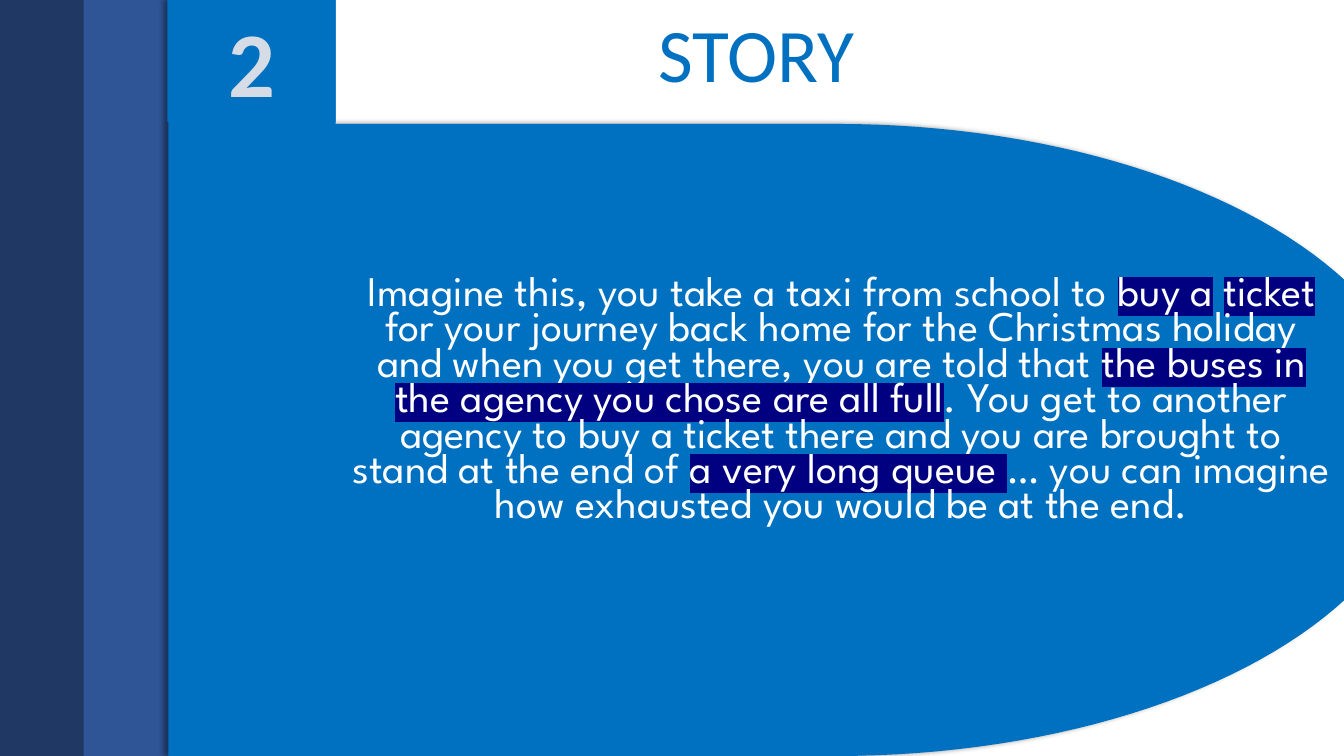
import math
from lxml import etree
from pptx import Presentation
from pptx.dml.color import RGBColor
from pptx.enum import shapes as kinds, text as txt
from pptx.oxml import ns
from pptx.util import Inches, Pt

HUES = {"navy": "203864", "steel": "2F5597", "blue": "0070C0", "pale": "D6DCE5",
        "white": "FFFFFF", "mark": "000080", "black": "000000"}
STORY = [
    ("Imagine this, you take a taxi from school to ", False),
    ("buy a", True),
    (" ", False),
    ("ticket", True),
    (" for your journey back home for the Christmas holiday and when you get there, "
     "you are told that ", False),
    ("the buses in the agency you chose are all full", True),
    (". You get to another agency to buy a ticket there and you are brought to "
     "stand at the end of ", False),
    ("a very long queue ", True),
    ("… you can imagine how exhausted you would be at the end.", False),
]


def hue(name):
    return RGBColor.from_string(HUES[name])


def paint(shape, name):
    shape.shadow.inherit = False
    shape.fill.solid()
    shape.fill.fore_color.rgb = hue(name)
    shape.line.fill.background()


def add_node(parent, tag, **attrs):
    return etree.SubElement(parent, ns.qn(tag), attrs)


def add_block(slide, box, name):
    block = slide.shapes.add_shape(kinds.MSO_SHAPE.RECTANGLE, *map(Inches, box))
    paint(block, name)
    return block


def style(para, face, size, name, bold=False):
    para.alignment = txt.PP_ALIGN.CENTER
    font = para.font
    font.name, font.size, font.bold = face, Pt(size), bold
    font.color.rgb = hue(name)


def place(holder, box, anchor):
    holder.left, holder.top, holder.width, holder.height = map(Inches, box)
    frame = holder.text_frame
    frame.word_wrap = True
    frame.auto_size = txt.MSO_AUTO_SIZE.NONE
    frame.vertical_anchor = anchor
    return frame.paragraphs[0]


def add_bars(slide, left, top, height):
    add_block(slide, (left, top, 1.67, height), "navy")
    add_block(slide, (left + 0.83, top, 1.73, height), "steel")


def add_panel(slide, left, top, width, height):
    tab, step, flat = 1.66, 1.23, 6.63
    wide, tall = width - flat, (height - step) / 2
    turns = [math.pi * i / 90 - math.pi / 2 for i in range(91)]
    arc = [(left + flat + wide * math.cos(a), top + step + tall * (1 + math.sin(a)))
           for a in turns]
    spots = [(left + tab, top), (left + tab, top + step), *arc, (left, top + height)]
    pen = slide.shapes.build_freeform(Inches(left), Inches(top))
    pen.add_line_segments([(Inches(x), Inches(y)) for x, y in spots], close=True)
    panel = pen.convert_to_shape()
    paint(panel, "blue")
    effects = panel._element.spPr.find(ns.qn("a:effectLst"))
    shade = add_node(effects, "a:outerShdw", blurRad=str(Pt(4)), dist=str(Pt(3)),
                     dir="10800000", algn="r", rotWithShape="0")
    tint = add_node(shade, "a:srgbClr", val=HUES["black"])
    add_node(tint, "a:alpha", val="40000")


def add_badge(slide, left, top, width, height):
    badge = add_block(slide, (left, top, width, height), "blue")
    frame = badge.text_frame
    frame.vertical_anchor = txt.MSO_ANCHOR.TOP
    frame.text = "2"
    style(frame.paragraphs[0], "Calibri", 66, "pale", True)


def fill_title(slide, *box):
    para = place(slide.shapes.title, box, txt.MSO_ANCHOR.MIDDLE)
    para.text = "STORY"
    para.line_spacing = 0.9
    style(para, "Calibri", 54, "blue")


def fill_story(slide, *box):
    body = slide.placeholders[1]
    para = place(body, box, txt.MSO_ANCHOR.TOP)
    para.line_spacing = 0.7
    para.space_before = Pt(10)
    style(para, "League Spartan", 30.1, "white")
    for words, marked in STORY:
        run = para.add_run()
        run.text = words
        if marked:
            glow = add_node(run._r.get_or_add_rPr(), "a:highlight")
            add_node(glow, "a:srgbClr", val=HUES["mark"])
    slide.shapes._spTree.append(body._element)


def build_story(deck):
    slide = deck.slides.add_slide(deck.slide_layouts[0])
    fill_title(slide, 1.67, 0, 11.67, 1.16)
    add_bars(slide, 0, 0, 7.5)
    add_panel(slide, 1.67, 0, 12.47, 7.5)
    fill_story(slide, 3.36, 2.71, 9.97, 3.56)
    add_badge(slide, 1.66, 0, 1.67, 1.21)


def main():
    deck = Presentation()
    deck.slide_width, deck.slide_height = Inches(13.33), Inches(7.5)
    build_story(deck)
    deck.save("out.pptx")


if __name__ == "__main__":
    main()
